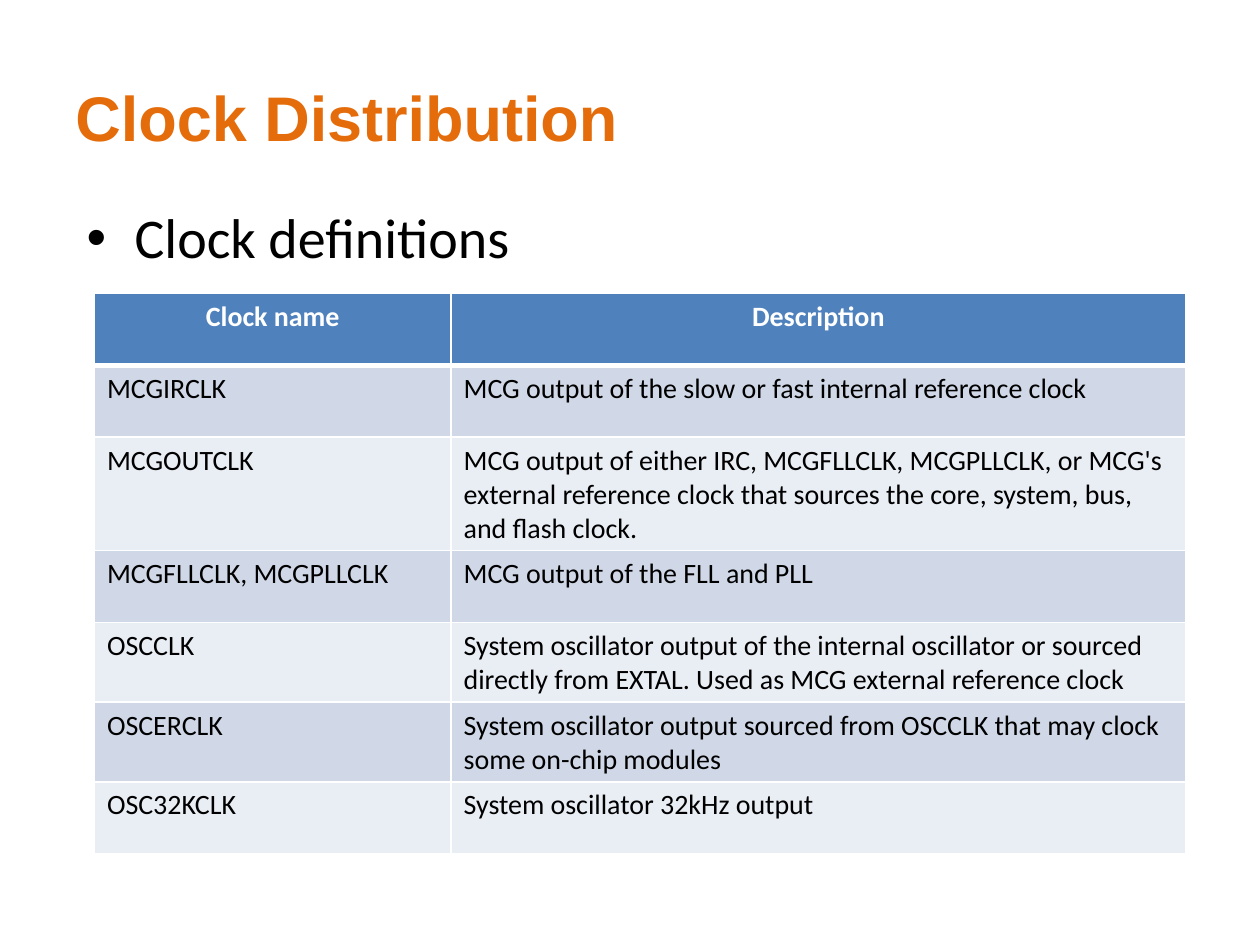
from lxml import etree
from pptx import Presentation
from pptx.dml.color import RGBColor
from pptx.enum.text import MSO_ANCHOR, PP_ALIGN
from pptx.oxml.ns import qn
from pptx.util import Inches, Pt

CENTER, LEFT = PP_ALIGN.CENTER, PP_ALIGN.LEFT
TOP, MIDDLE = MSO_ANCHOR.TOP, MSO_ANCHOR.MIDDLE

ROWS = [
    ("Clock name", "Description"),
    ("MCGIRCLK", "MCG output of the slow or fast internal reference clock"),
    ("MCGOUTCLK", "MCG output of either IRC, MCGFLLCLK, MCGPLLCLK, or MCG's external "
                  "reference clock that sources the core, system, bus, and flash clock."),
    ("MCGFLLCLK, MCGPLLCLK", "MCG output of the FLL and PLL"),
    ("OSCCLK", "System oscillator output of the internal oscillator or sourced "
               "directly from EXTAL. Used as MCG external reference clock"),
    ("OSCERCLK", "System oscillator output sourced from OSCCLK that may clock "
                 "some on-chip modules"),
    ("OSC32KCLK", "System oscillator 32kHz output"),
]


def color(code):
    return RGBColor.from_string(code)


class Deck:
    white, black, orange = "FFFFFF", "000000", "E46C0A"
    head, bands = "4F81BD", ("E9EDF4", "D0D8E8")
    font = "Calibri"

    def __init__(self):
        self.file = Presentation()
        self.file.slide_width, self.file.slide_height = Inches(10), Inches(7.5)
        self.slide = self.file.slides.add_slide(self.file.slide_layouts[6])

    def style(self, para, size, code, bold=False, font=None, align=LEFT):
        para.alignment = align
        para.font.name = font or self.font
        para.font.size = Pt(size)
        para.font.bold = bold
        para.font.color.rgb = color(code)

    def text(self, box, words, size, code, anchor=TOP, **look):
        frame = self.slide.shapes.add_textbox(*map(Inches, box)).text_frame
        frame.word_wrap = True
        frame.vertical_anchor = anchor
        para = frame.paragraphs[0]
        para.text = words
        self.style(para, size, code, **look)
        return para

    def bullet(self, box, words, size, code):
        para = self.text(box, words, size, code)
        para.line_spacing = 0.9
        props = para._p.get_or_add_pPr()
        props.set("marL", str(Inches(0.38)))
        props.set("indent", str(-Inches(0.38)))
        etree.SubElement(props, qn("a:buFont"), typeface="Arial")
        etree.SubElement(props, qn("a:buChar"), char="•")

    def border(self, cell, side, width):
        line = etree.SubElement(cell._tc.get_or_add_tcPr(), qn("a:ln" + side),
                                w=str(Pt(width)))
        fill = etree.SubElement(line, qn("a:solidFill"))
        etree.SubElement(fill, qn("a:srgbClr"), val=self.white)

    def table(self, left, top, widths, height, rows):
        grid = self.slide.shapes.add_table(
            len(rows), len(widths), Inches(left), Inches(top),
            Inches(sum(widths)), Inches(height * len(rows))).table
        for col, width in zip(grid.columns, widths):
            col.width = Inches(width)
        for r, row in enumerate(rows):
            grid.rows[r].height = Inches(height)
            for c, words in enumerate(row):
                self.cell(grid.cell(r, c), words, r)

    def cell(self, cell, words, r):
        # The line under the header row is thicker
        for side in "LRTB":
            thick = (r, side) in ((0, "B"), (1, "T"))
            self.border(cell, side, 3 if thick else 1)
        cell.fill.solid()
        cell.fill.fore_color.rgb = color(self.bands[r % 2] if r else self.head)
        cell.text = words
        para = cell.text_frame.paragraphs[0]
        if r:
            self.style(para, 16, self.black)
        else:
            self.style(para, 16, self.white, bold=True, align=CENTER)


def main():
    deck = Deck()
    # Heading
    deck.text((0.5, 0.3, 7.49, 1.25), "Clock Distribution", 36, deck.orange,
              anchor=MIDDLE, bold=True, font="Arial")
    # Lead point
    deck.bullet((0.59, 1.62, 9, 5.59), "Clock definitions", 32, deck.black)
    # Clock table
    deck.table(0.75, 2.33, (2.83, 5.83), 0.57, ROWS)
    deck.file.save("out.pptx")


if __name__ == "__main__":
    main()
